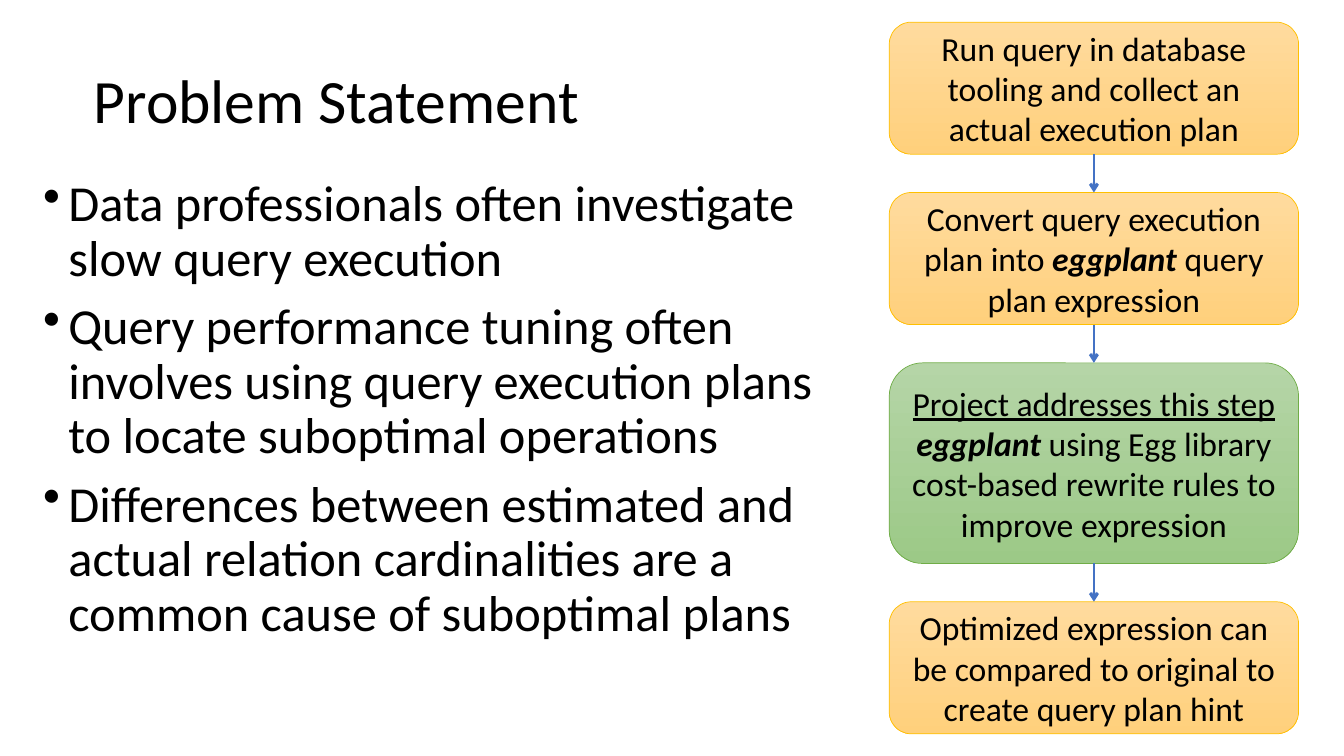
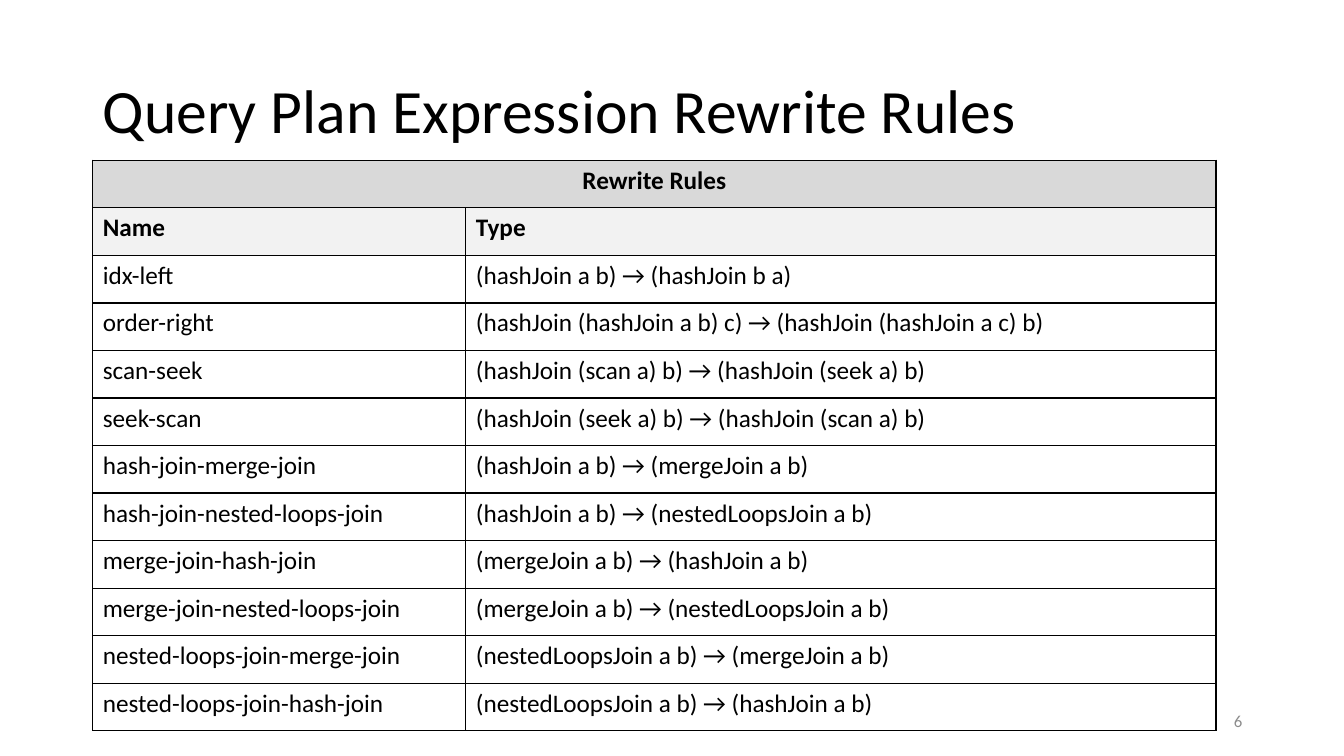
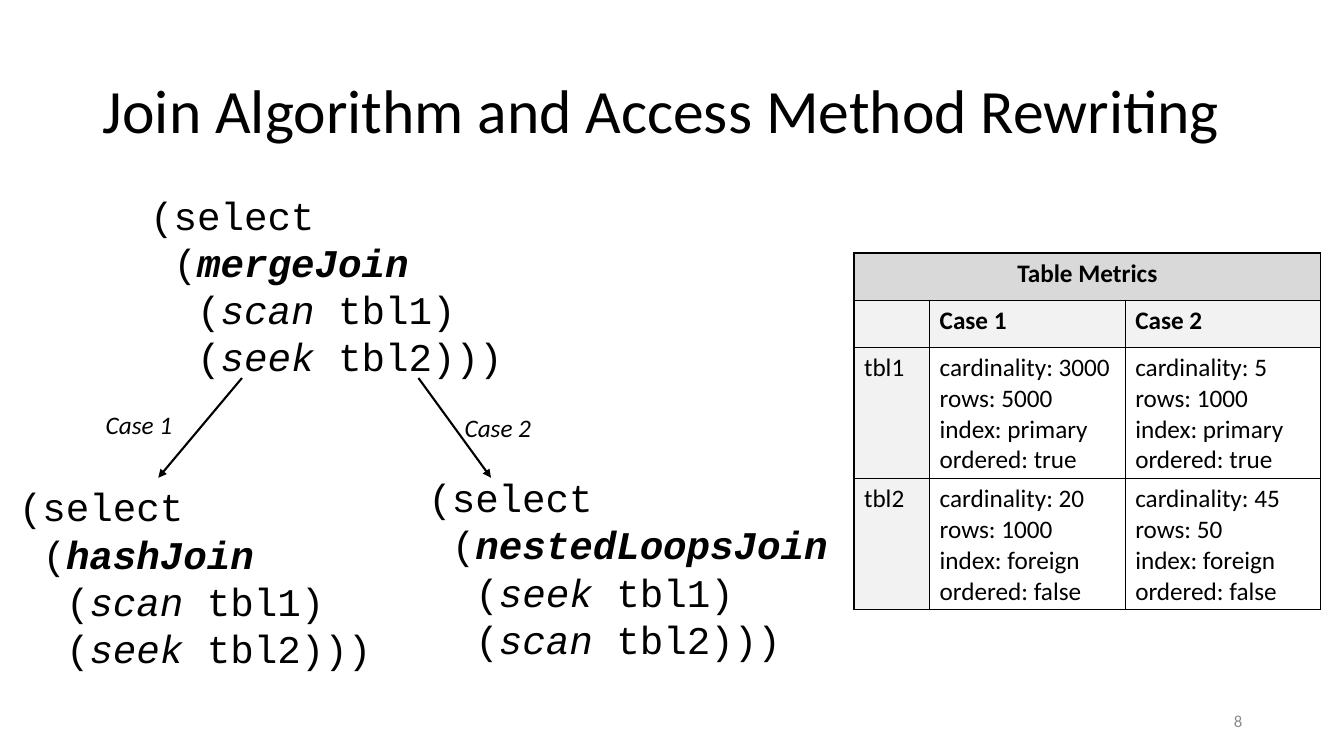
from dataclasses import dataclass
from typing import NamedTuple

from lxml import etree
from pptx import Presentation
from pptx.dml.color import RGBColor
from pptx.enum.shapes import MSO_CONNECTOR, MSO_SHAPE
from pptx.enum.text import MSO_ANCHOR, MSO_AUTO_SIZE, PP_ALIGN
from pptx.oxml.ns import qn
from pptx.util import Inches, Pt

LEFT, CENTER, RIGHT = PP_ALIGN.LEFT, PP_ALIGN.CENTER, PP_ALIGN.RIGHT
MIDDLE = MSO_ANCHOR.MIDDLE
ROUNDED = MSO_SHAPE.ROUNDED_RECTANGLE
STRAIGHT = MSO_CONNECTOR.STRAIGHT
TOP_SITE, BOTTOM_SITE = 0, 2
TITLE_ONLY = 5

COLORS = {
    "text": "000000",
    "page": "8C8C8C",
    "white": "FFFFFF",
    "table_title": "D9D9D9",
    "table_header": "F2F2F2",
    "orange_top": "FFDB9E",
    "orange_bottom": "FFD07C",
    "orange_line": "FFC000",
    "green_top": "B5D5A7",
    "green_bottom": "9CC987",
    "green_line": "70AD47",
    "arrow": "4472C4",
}
BODY_FONT, CODE_FONT = "Calibri", "Courier New"
CODE_SIZE = 28
CODE_INDENT = 0.6 * CODE_SIZE / 72  # one monospaced character, in inches

STYLES = {
    "": {},
    "b": {"bold": True},
    "i": {"italic": True},
    "bi": {"bold": True, "italic": True},
    "u": {"underline": True},
}


class Span(NamedTuple):
    text: str
    style: str = ""


class Box(NamedTuple):
    left: float
    top: float
    width: float
    height: float

    def lengths(self) -> tuple:
        return tuple(Inches(value) for value in self)


@dataclass
class Step:
    spans: list
    height: float = 1.31
    palette: str = "orange"


@dataclass
class Plan:
    box: Box
    join: str
    accesses: tuple


@dataclass
class Branch:
    label: str
    label_box: Box
    start: tuple
    end: tuple


@dataclass
class Grid:
    """A table: a merged title row, a header row, then labelled rows."""
    left: float
    top: float
    widths: tuple
    heights: tuple
    title: str
    rows: list
    label_color: str


BULLETS = [
    "Data professionals often investigate slow query execution",
    "Query performance tuning often involves using query execution plans "
    "to locate suboptimal operations",
    "Differences between estimated and actual relation cardinalities are a "
    "common cause of suboptimal plans",
]
STEPS = [
    Step([Span("Run query in database tooling and collect an actual execution plan")]),
    Step([Span("Convert query execution plan into "), Span("eggplant", "bi"),
          Span(" query plan expression")]),
    Step([Span("Project addresses this step", "u"), Span(" ", "i"), Span("eggplant ", "bi"),
          Span("using Egg library cost-based rewrite rules to improve expression")],
         1.99, "green"),
    Step([Span("Optimized expression can be compared to original to create query plan hint")]),
]
RULES = Grid(
    0.92, 1.59, (3.7, 7.44), (5.66 / 12,) * 12, "Rewrite Rules",
    [
        ("Name", "Type"),
        ("idx-left", "(hashJoin a b) → (hashJoin b a)"),
        ("order-right", "(hashJoin (hashJoin a b) c) → (hashJoin (hashJoin a c) b)"),
        ("scan-seek", "(hashJoin (scan a) b) → (hashJoin (seek a) b)"),
        ("seek-scan", "(hashJoin (seek a) b) → (hashJoin (scan a) b)"),
        ("hash-join-merge-join", "(hashJoin a b) → (mergeJoin a b)"),
        ("hash-join-nested-loops-join", "(hashJoin a b) → (nestedLoopsJoin a b)"),
        ("merge-join-hash-join", "(mergeJoin a b) → (hashJoin a b)"),
        ("merge-join-nested-loops-join", "(mergeJoin a b) → (nestedLoopsJoin a b)"),
        ("nested-loops-join-merge-join", "(nestedLoopsJoin a b) → (mergeJoin a b)"),
        ("nested-loops-join-hash-join", "(nestedLoopsJoin a b) → (hashJoin a b)"),
    ],
    "white",
)


def metrics(cardinality: int, rows: int, index: str, ordered: str) -> str:
    return f"cardinality: {cardinality}\nrows: {rows}\nindex: {index}\nordered: {ordered}"


METRICS = Grid(
    8.47, 2.51, (0.75, 1.94, 1.94), (0.47, 0.47, 1.3, 1.3), "Table Metrics",
    [
        ("", "Case 1", "Case 2"),
        ("tbl1", metrics(3000, 5000, "primary", "true"), metrics(5, 1000, "primary", "true")),
        ("tbl2", metrics(20, 1000, "foreign", "false"), metrics(45, 50, "foreign", "false")),
    ],
    "table_header",
)
PLANS = [
    Plan(Box(1.39, 1.85, 4.52, 1.99), "mergeJoin", ("scan", "seek")),
    Plan(Box(4.15, 4.65, 6.04, 1.99), "nestedLoopsJoin", ("seek", "scan")),
    Plan(Box(0.09, 4.74, 4.63, 1.99), "hashJoin", ("scan", "seek")),
]
BRANCHES = [
    Branch("Case 1", Box(0.95, 4.01, 1.19, 0.4), (2.4, 3.75), (1.57, 4.74)),
    Branch("Case 2", Box(4.51, 4.04, 1.19, 0.4), (4.15, 3.75), (4.87, 4.74)),
]


def color(name: str) -> RGBColor:
    return RGBColor.from_string(COLORS[name])


def write(paragraph, spans: list, size: float, font: str = BODY_FONT,
          ink: str = "text", **layout) -> None:
    for name, value in layout.items():
        setattr(paragraph, name, value)
    for span in spans:
        run = paragraph.add_run()
        run.text = span.text
        values = {"name": font, "size": Pt(size), **STYLES[span.style]}
        for name, value in values.items():
            setattr(run.font, name, value)
        run.font.color.rgb = color(ink)


def set_indent(paragraph, left: float, first: float = 0):
    properties = paragraph._p.get_or_add_pPr()
    properties.set("marL", str(Inches(left)))
    properties.set("indent", str(Inches(first)))
    return properties


def paragraphs(frame, count: int) -> list:
    """Extend an empty text frame to the given number of paragraphs."""
    return [frame.paragraphs[0]] + [frame.add_paragraph() for _ in range(count - 1)]


def add_text_frame(slide, box: Box):
    frame = slide.shapes.add_textbox(*box.lengths()).text_frame
    frame.word_wrap = True
    return frame


def add_titled_slide(presentation, title: str, left: float = 0.92, top: float = 0.4):
    slide = presentation.slides.add_slide(presentation.slide_layouts[TITLE_ONLY])
    shape = slide.shapes.title
    shape.left, shape.top, shape.width, shape.height = Box(left, top, 11.5, 1.45).lengths()
    frame = shape.text_frame
    frame.auto_size = MSO_AUTO_SIZE.NONE
    frame.vertical_anchor = MIDDLE
    write(frame.paragraphs[0], [Span(title)], 44, alignment=LEFT, line_spacing=0.9)
    return slide


def add_page_number(slide, number: int) -> None:
    frame = add_text_frame(slide, Box(9.42, 6.95, 3, 0.4))
    frame.vertical_anchor = MIDDLE
    write(frame.paragraphs[0], [Span(str(number))], 12, ink="page", alignment=RIGHT)


def add_arrow(slide, start: tuple, end: tuple, ink: str, width: float, head: str):
    ends = (Inches(value) for value in (*start, *end))
    arrow = slide.shapes.add_connector(STRAIGHT, *ends)
    arrow.line.color.rgb = color(ink)
    arrow.line.width = Pt(width)
    properties = arrow._element.spPr
    etree.SubElement(properties.find(qn("a:ln")), qn("a:tailEnd"), type=head)
    etree.SubElement(properties, qn("a:effectLst"))
    return arrow


def add_bullets(slide) -> None:
    frame = add_text_frame(slide, Box(0.33, 1.72, 7.9, 5.51))
    for paragraph, text in zip(paragraphs(frame, len(BULLETS)), BULLETS):
        write(paragraph, [Span(text)], 36, line_spacing=0.9, space_before=Pt(10))
        properties = set_indent(paragraph, 0.25, -0.25)
        etree.SubElement(properties, qn("a:buChar"), char="•")


def add_step(slide, step: Step, box: Box):
    shape = slide.shapes.add_shape(ROUNDED, *box.lengths())
    shape.shadow.inherit = False
    shape.fill.gradient()
    shape.fill.gradient_angle = 270
    for stop, end in zip(shape.fill.gradient_stops, ("top", "bottom")):
        stop.color.rgb = color(f"{step.palette}_{end}")
    shape.line.color.rgb = color(f"{step.palette}_line")
    shape.line.width = Pt(0.5)
    frame = shape.text_frame
    frame.word_wrap = True
    frame.vertical_anchor = MIDDLE
    write(frame.paragraphs[0], step.spans, 24, alignment=CENTER)
    return shape


def add_flow(slide) -> None:
    left, top, width, gap = 8.82, 0.22, 4.06, 0.38
    center = left + width / 2
    previous = None
    for step in STEPS:
        shape = add_step(slide, step, Box(left, top, width, step.height))
        if previous is not None:
            arrow = add_arrow(slide, (center, top - gap), (center, top), "arrow", 2, "arrow")
            arrow.begin_connect(previous, BOTTOM_SITE)
            arrow.end_connect(shape, TOP_SITE)
        previous = shape
        top += step.height + gap


def add_borders(cell) -> None:
    properties = cell._tc.get_or_add_tcPr()
    for side in ("lnL", "lnR", "lnT", "lnB"):
        line = etree.SubElement(properties, qn(f"a:{side}"), w=str(Pt(1)))
        fill = etree.SubElement(line, qn("a:solidFill"))
        etree.SubElement(fill, qn("a:srgbClr"), val=COLORS["text"])


def fill_cell(cell, text: str, fill: str | None, style: str, alignment) -> None:
    add_borders(cell)
    if fill:
        cell.fill.solid()
        cell.fill.fore_color.rgb = color(fill)
    else:
        cell.fill.background()
    lines = text.split("\n") if text else []
    for paragraph, line in zip(paragraphs(cell.text_frame, len(lines)), lines):
        write(paragraph, [Span(line, style)], 18, alignment=alignment)


def add_grid(slide, grid: Grid) -> None:
    box = Box(grid.left, grid.top, sum(grid.widths), sum(grid.heights))
    columns = len(grid.widths)
    table = slide.shapes.add_table(len(grid.heights), columns, *box.lengths()).table
    table.first_row = table.horz_banding = False
    for column, width in zip(table.columns, grid.widths):
        column.width = Inches(width)
    for row, height in zip(table.rows, grid.heights):
        row.height = Inches(height)
    table.cell(0, 0).merge(table.cell(0, columns - 1))
    title_row = (grid.title,) + ("",) * (columns - 1)
    for row, texts in enumerate([title_row, *grid.rows]):
        for column, text in enumerate(texts):
            label_fill = grid.label_color if column == 0 else None
            fill = {0: "table_title", 1: "table_header"}.get(row, label_fill)
            fill_cell(table.cell(row, column), text, fill,
                      "b" if row < 2 else "", CENTER if row == 0 else LEFT)


def add_plan(slide, plan: Plan) -> None:
    first, second = plan.accesses
    lines = [
        (0, [Span("(select")]),
        (1, [Span("("), Span(plan.join, "bi")]),
        (2, [Span("("), Span(first, "i"), Span(" tbl1)")]),
        (2, [Span("("), Span(second, "i"), Span(" tbl2)))")]),
    ]
    frame = add_text_frame(slide, plan.box)
    for paragraph, (depth, spans) in zip(paragraphs(frame, len(lines)), lines):
        write(paragraph, spans, CODE_SIZE, CODE_FONT)
        set_indent(paragraph, depth * CODE_INDENT)


def add_branch(slide, branch: Branch) -> None:
    add_arrow(slide, branch.start, branch.end, "text", 1.5, "triangle")
    frame = add_text_frame(slide, branch.label_box)
    write(frame.paragraphs[0], [Span(branch.label, "i")], 18)


def main() -> None:
    presentation = Presentation()
    presentation.slide_width = Inches(13.33)
    presentation.slide_height = Inches(7.5)

    problem = add_titled_slide(presentation, "Problem Statement", 0.83, 0.3)
    add_bullets(problem)
    add_flow(problem)

    rules = add_titled_slide(presentation, "Query Plan Expression Rewrite Rules")
    add_page_number(rules, 6)
    add_grid(rules, RULES)

    rewriting = add_titled_slide(presentation, "Join Algorithm and Access Method Rewriting")
    add_page_number(rewriting, 8)
    add_grid(rewriting, METRICS)
    for plan in PLANS:
        add_plan(rewriting, plan)
    for branch in BRANCHES:
        add_branch(rewriting, branch)

    presentation.save("out.pptx")


if __name__ == "__main__":
    main()
